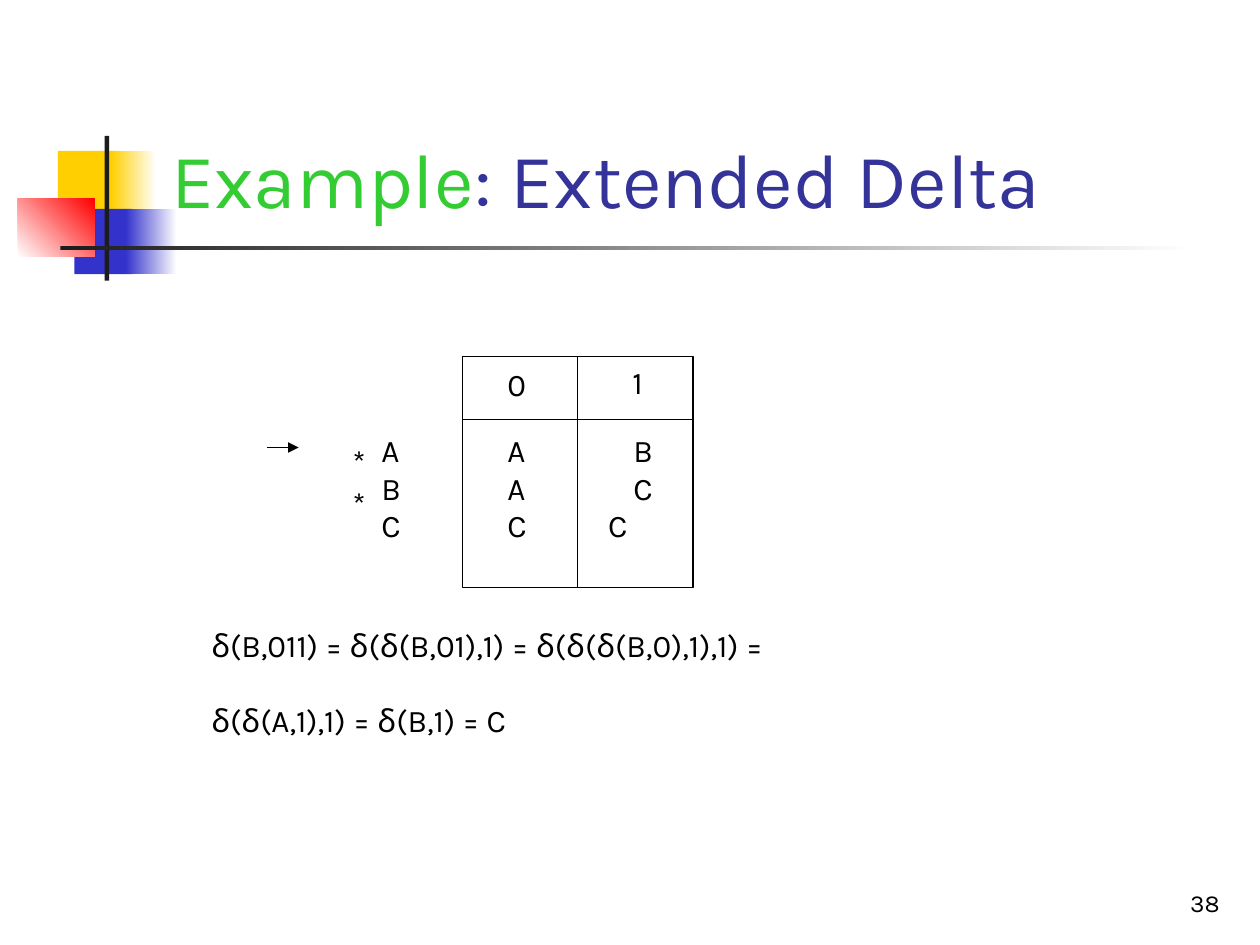
from lxml import etree
from pptx import Presentation
from pptx.dml.color import RGBColor
from pptx.enum.shapes import MSO_CONNECTOR, MSO_SHAPE
from pptx.enum.text import MSO_ANCHOR, PP_ALIGN
from pptx.oxml.ns import qn
from pptx.util import Cm, Pt

RECT = MSO_SHAPE.RECTANGLE
STRAIGHT = MSO_CONNECTOR.STRAIGHT
TOP, BOTTOM = MSO_ANCHOR.TOP, MSO_ANCHOR.BOTTOM
LEFT, RIGHT = PP_ALIGN.LEFT, PP_ALIGN.RIGHT

COLORS = {"yellow": "FFCF01", "blue": "3333CC", "red": "FF0000", "dark": "1C1C1C",
          "white": "FFFFFF", "black": "000000", "green": "33CC33", "navy": "333399"}
FONT, SYMBOL_FONT = "Karla", "Noto Sans Mono"


def rgb(name):
    return RGBColor.from_string(COLORS[name])


def add_rect(s, x, y, w, h):
    sp = s.shapes.add_shape(RECT, Cm(x), Cm(y), Cm(w), Cm(h))
    sp.shadow.inherit = False
    return sp


def add_block(s, x, y, w, h, start, end=None, angle=0):
    """Borderless rectangle, solid or fading from start to end."""
    sp = add_rect(s, x, y, w, h)
    sp.line.fill.background()
    if end is None:
        sp.fill.solid()
        sp.fill.fore_color.rgb = rgb(start)
        return
    sp.fill.gradient()
    sp.fill.gradient_angle = angle
    for stop, name in zip(sp.fill.gradient_stops, (start, end)):
        stop.color.rgb = rgb(name)


def add_line(s, x1, y1, x2, y2, arrow=False):
    line = s.shapes.add_connector(STRAIGHT, Cm(x1), Cm(y1), Cm(x2), Cm(y2))
    line.line.color.rgb = rgb("black")
    line.line.width = Pt(0.75)
    if arrow:
        etree.SubElement(line.line._get_or_add_ln(), qn("a:tailEnd"), type="triangle")
    etree.SubElement(line._element.spPr, qn("a:effectLst"))


def add_text_box(s, x, y, w, h, anchor=TOP):
    tf = s.shapes.add_textbox(Cm(x), Cm(y), Cm(w), Cm(h)).text_frame
    tf.word_wrap = True
    tf.vertical_anchor = anchor
    return tf


def add_run(p, text, size=18, color="black", font=FONT):
    r = p.add_run()
    r.text = text
    r.font.size = Pt(size)
    r.font.name = font
    r.font.color.rgb = rgb(color)


def add_label(s, x, y, w, h, text, size=18, align=LEFT, anchor=TOP):
    p = add_text_box(s, x, y, w, h, anchor).paragraphs[0]
    p.alignment = align
    add_run(p, text, size)


def next_paragraph(tf, index):
    return tf.paragraphs[0] if index == 0 else tf.add_paragraph()


def set_tabs(p, stops):
    tab_list = etree.SubElement(p._p.get_or_add_pPr(), qn("a:tabLst"))
    for stop in stops:
        etree.SubElement(tab_list, qn("a:tab"), pos=str(Cm(stop)), algn="l")


def add_ornament(s, x, y):
    """Overlapping colour blocks with the crossing bars under the title."""
    add_block(s, x + 0.81, y + 0.3, 1.22, 1.32, "yellow")
    add_block(s, x + 1.88, y + 0.3, 0.91, 1.32, "yellow", "white")
    add_block(s, x + 1.14, y + 1.47, 1.17, 1.32, "blue")
    add_block(s, x + 2.18, y + 1.47, 1.02, 1.32, "blue", "white")
    add_block(s, x, y + 1.27, 1.55, 1.17, "white", "red", 45)
    add_block(s, x + 1.75, y, 0.09, 2.92, "dark")
    add_block(s, x + 0.86, y + 2.21, 22.86, 0.09, "dark", "white")


def add_title(s, x, y, w, h):
    p = add_text_box(s, x, y, w, h, BOTTOM).paragraphs[0]
    add_run(p, "Example", 44, "green")
    add_run(p, ": Extended Delta", 44, "navy")


def add_transition_table(s, x, y):
    """Start arrow, accepting-state stars, state names and ruled grid."""
    side, header = 4.65, 1.27
    grid_x = x + 3.94
    sp = add_rect(s, grid_x, y, side, side)
    sp.fill.background()
    sp.line.color.rgb = rgb("black")
    sp.line.width = Pt(0.75)
    add_line(s, grid_x, y + header, grid_x + side, y + header)
    add_line(s, grid_x + side / 2, y, grid_x + side / 2, y + side)

    add_label(s, x + 4.6, y + 0.05, 0.97, 1.27, "0")
    add_label(s, x + 7.12, y, 0.97, 1.27, "1")

    tf = add_text_box(s, x + 2.06, y + 1.37, 10.13, 2.57)
    rows = [("A\tA\tB", 5.08), ("B\tA\tC", 5.08), ("C\tC\tC", 4.57)]
    for i, (row, last_stop) in enumerate(rows):
        p = next_paragraph(tf, i)
        set_tabs(p, (2.54, last_stop))
        add_run(p, row)

    for star_y in (1.6, 2.44):
        add_label(s, x + 1.48, y + star_y, 0.97, 1.27, "*")
    add_line(s, x, y + 1.83, x + 0.64, y + 1.83, arrow=True)


def add_derivation(s, x, y, w, h):
    tf = add_text_box(s, x, y, w, h)
    lines = ["δ(B,011) = δ(δ(B,01),1) = δ(δ(δ(B,0),1),1) =",
             "δ(δ(A,1),1) = δ(B,1) = C"]
    for i, line in enumerate(lines):
        p = next_paragraph(tf, i)
        if i:
            p.space_before = Pt(21)
        for part in line.split("δ")[1:]:
            add_run(p, "δ", font=SYMBOL_FONT)
            add_run(p, part)


def main():
    prs = Presentation()
    prs.slide_width, prs.slide_height = Cm(25.4), Cm(19.05)
    s = prs.slides.add_slide(prs.slide_layouts[6])
    add_ornament(s, 0.36, 2.74)
    add_title(s, 3.2, 0.58, 21.64, 4.06)
    add_label(s, 19.56, 17.35, 5.28, 1.27, "38", 14, RIGHT, BOTTOM)
    add_derivation(s, 4.01, 12.5, 17.78, 3.3)
    add_transition_table(s, 5.38, 7.19)
    prs.save("out.pptx")


if __name__ == "__main__":
    main()
